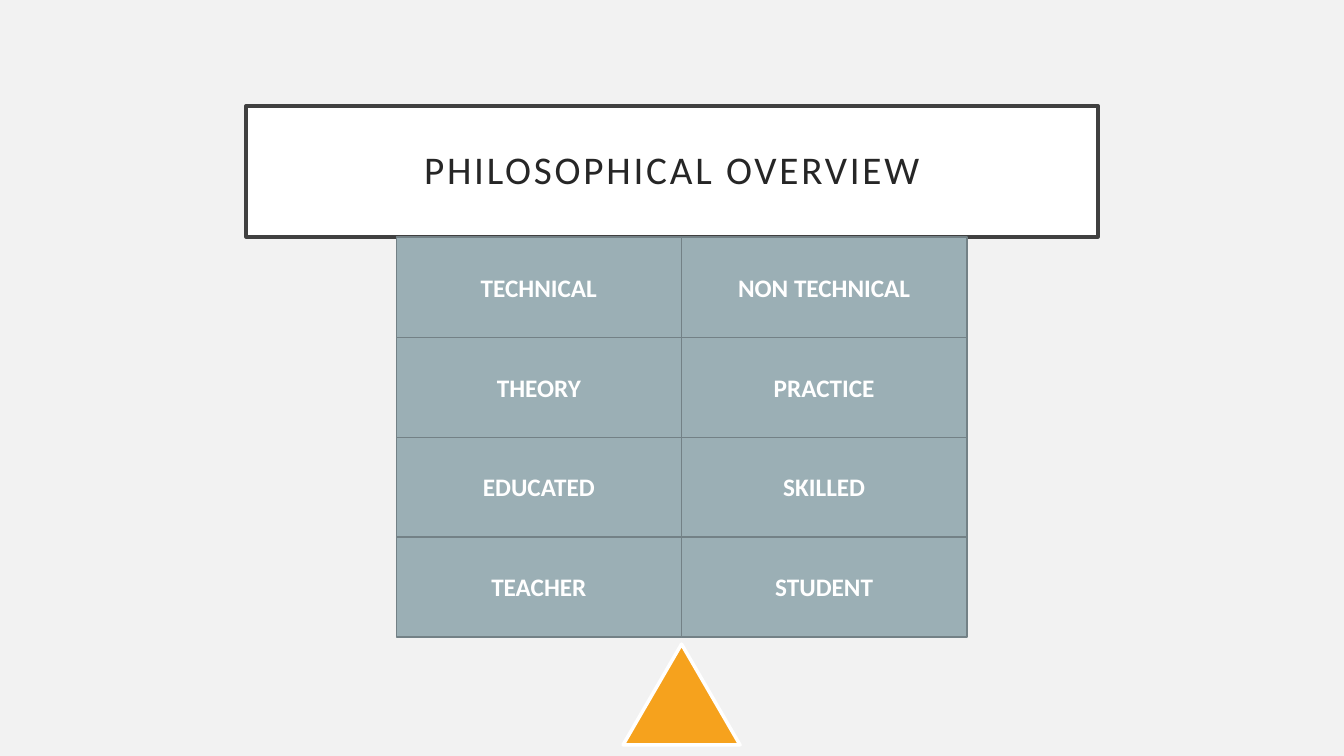
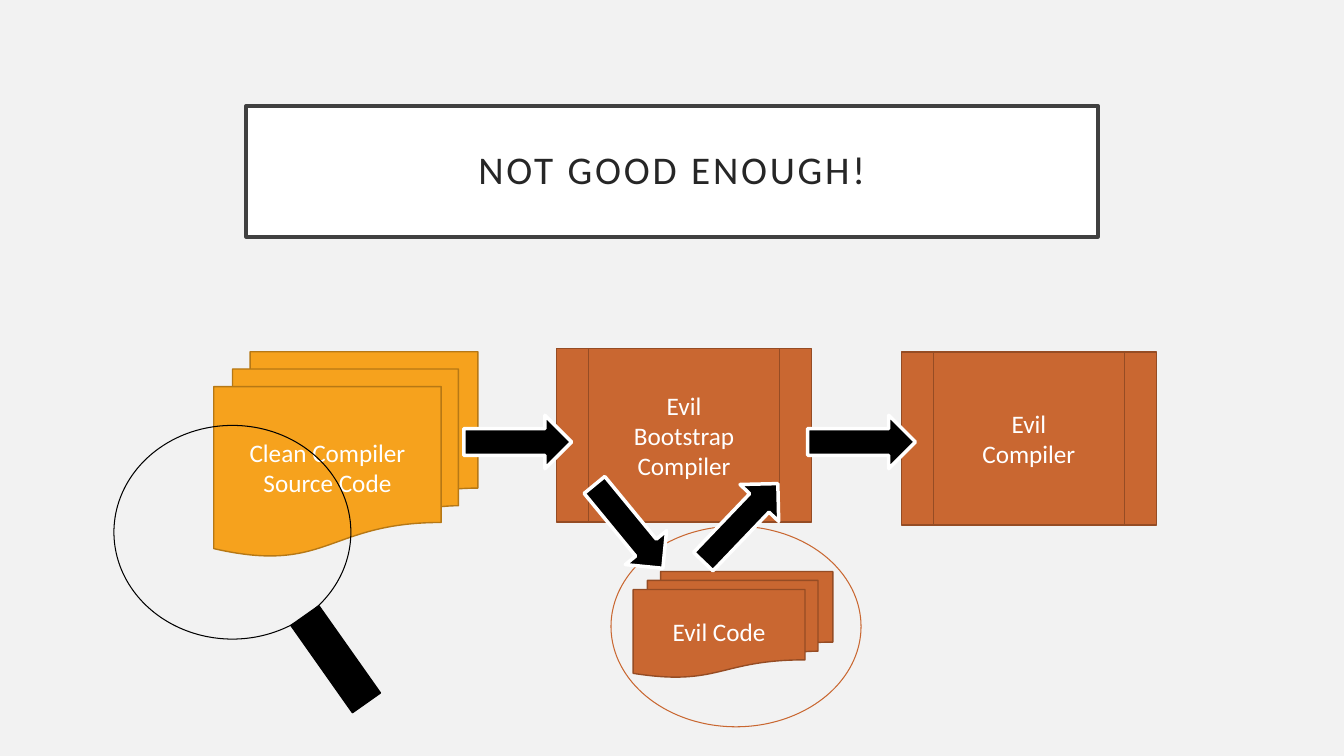
from pptx import Presentation
from pptx.dml.color import RGBColor
from pptx.enum.shapes import MSO_SHAPE
from pptx.enum.text import MSO_ANCHOR, PP_ALIGN
from pptx.util import Inches, Pt

BACKGROUND = RGBColor(0xF2, 0xF2, 0xF2)
WHITE = RGBColor(0xFF, 0xFF, 0xFF)
BLACK = RGBColor(0x00, 0x00, 0x00)
TITLE_LINE = RGBColor(0x40, 0x40, 0x40)
TITLE_TEXT = RGBColor(0x26, 0x26, 0x26)
ORANGE = RGBColor(0xF6, 0xA2, 0x1D)
ORANGE_LINE = RGBColor(0xB6, 0x78, 0x15)
RUST = RGBColor(0xC9, 0x67, 0x31)
RUST_LINE = RGBColor(0x95, 0x4C, 0x24)
SLATE = RGBColor(0x9B, 0xAF, 0xB5)
SLATE_LINE = RGBColor(0x73, 0x81, 0x86)
FONT = "Calibri"


class Deck:
    """Holds the shared style and the current slide."""

    def __init__(self):
        """Start an empty widescreen presentation."""
        self.presentation = Presentation()
        self.presentation.slide_width = Inches(13.33)
        self.presentation.slide_height = Inches(7.5)
        self.slide = None

    def add_slide(self):
        """Add a blank slide with the shared background."""
        self.slide = self.presentation.slides.add_slide(self.presentation.slide_layouts[6])
        fill = self.slide.background.fill
        fill.solid()
        fill.fore_color.rgb = BACKGROUND

    def shape(self, kind, left, top, width, height, fill, line, line_width=1, rotation=0):
        """Add a preset shape; a fill of None leaves it hollow."""
        shape = self.slide.shapes.add_shape(
            kind, Inches(left), Inches(top), Inches(width), Inches(height))
        shape.shadow.inherit = False
        shape.rotation = rotation
        if fill is None:
            shape.fill.background()
        else:
            shape.fill.solid()
            shape.fill.fore_color.rgb = fill
        shape.line.color.rgb = line
        shape.line.width = Pt(line_width)
        return shape

    def set_text(self, shape, text, size=18, color=WHITE, bold=False):
        """Centre text in a shape, one paragraph for each line."""
        frame = shape.text_frame
        frame.word_wrap = True
        frame.vertical_anchor = MSO_ANCHOR.MIDDLE
        frame.text = text
        for paragraph in frame.paragraphs:
            paragraph.alignment = PP_ALIGN.CENTER
            paragraph.font.name = FONT
            paragraph.font.size = Pt(size)
            paragraph.font.bold = bold
            paragraph.font.color.rgb = color

    def title(self, text):
        """Add the framed title with letter spacing."""
        shape = self.shape(MSO_SHAPE.RECTANGLE, 2.44, 1.05, 8.45, 1.3, WHITE, TITLE_LINE, 2.5)
        self.set_text(shape, text, 28, TITLE_TEXT)
        frame = shape.text_frame
        frame.margin_left = frame.margin_right = Inches(0.2)
        frame.margin_top = frame.margin_bottom = Inches(0.2)
        paragraph = frame.paragraphs[0]
        paragraph.line_spacing = 0.9
        paragraph.runs[0]._r.get_or_add_rPr().set("spc", "200")

    def block(self, text, left, top):
        """Add one labelled block of the balance."""
        shape = self.shape(MSO_SHAPE.RECTANGLE, left, top, 2.83, 1, SLATE, SLATE_LINE)
        self.set_text(shape, text, bold=True)

    def process(self, text, left, top):
        """Add a compiler box."""
        shape = self.shape(MSO_SHAPE.FLOWCHART_PREDEFINED_PROCESS, left, top, 2.53, 1.72,
                           RUST, RUST_LINE)
        self.set_text(shape, text)

    def documents(self, text, left, top, width, height, fill, line):
        """Add a stack of source code documents."""
        shape = self.shape(MSO_SHAPE.FLOWCHART_MULTIDOCUMENT, left, top, width, height, fill, line)
        self.set_text(shape, text)

    def arrow(self, left, top, rotation=0):
        """Add a black block arrow with a white edge."""
        self.shape(MSO_SHAPE.RIGHT_ARROW, left, top, 1.07, 0.53, BLACK, WHITE, 2.5, rotation)


def build_overview(deck):
    """Build the balance of paired opposites."""
    pairs = [("TECHNICAL", "NON TECHNICAL"), ("THEORY", "PRACTICE"),
             ("EDUCATED", "SKILLED"), ("TEACHER", "STUDENT")]
    deck.add_slide()
    deck.title("PHILOSOPHICAL OVERVIEW")
    deck.shape(MSO_SHAPE.ISOSCELES_TRIANGLE, 6.18, 6.39, 1.16, 1, ORANGE, WHITE, 2.5)
    for row, pair in reversed(list(enumerate(pairs))):
        for column, label in enumerate(pair):
            deck.block(label, 3.93 + 2.83 * column, 2.35 + 0.99 * row)


def build_compiler_flow(deck):
    """Build the flow from clean source to evil compiler."""
    deck.add_slide()
    deck.process("Evil\nCompiler", 8.94, 3.49)
    deck.title("NOT GOOD ENOUGH!")
    deck.documents("Clean Compiler\nSource Code", 2.12, 3.49, 2.62, 2.03, ORANGE, ORANGE_LINE)
    deck.process("Evil\nBootstrap\nCompiler", 5.52, 3.46)
    for left in (4.6, 8.01):
        deck.arrow(left, 4.12)
    # Magnifying glass: lens and handle
    deck.shape(MSO_SHAPE.OVAL, 1.13, 4.22, 2.35, 2.12, None, BLACK, 0.75)
    deck.shape(MSO_SHAPE.RECTANGLE, 3.16, 6.01, 0.34, 1.06, BLACK, BLACK, rotation=324.8)
    # Hidden code loop
    deck.shape(MSO_SHAPE.FLOWCHART_CONNECTOR, 6.06, 5.22, 2.48, 1.99, None, RUST, 0.75)
    deck.documents("Evil Code", 6.28, 5.67, 1.98, 1.05, RUST, RUST_LINE)
    deck.arrow(5.7, 4.96, 50.6)
    deck.arrow(6.81, 4.92, 313.7)


deck = Deck()
build_overview(deck)
build_compiler_flow(deck)
deck.presentation.save("out.pptx")
